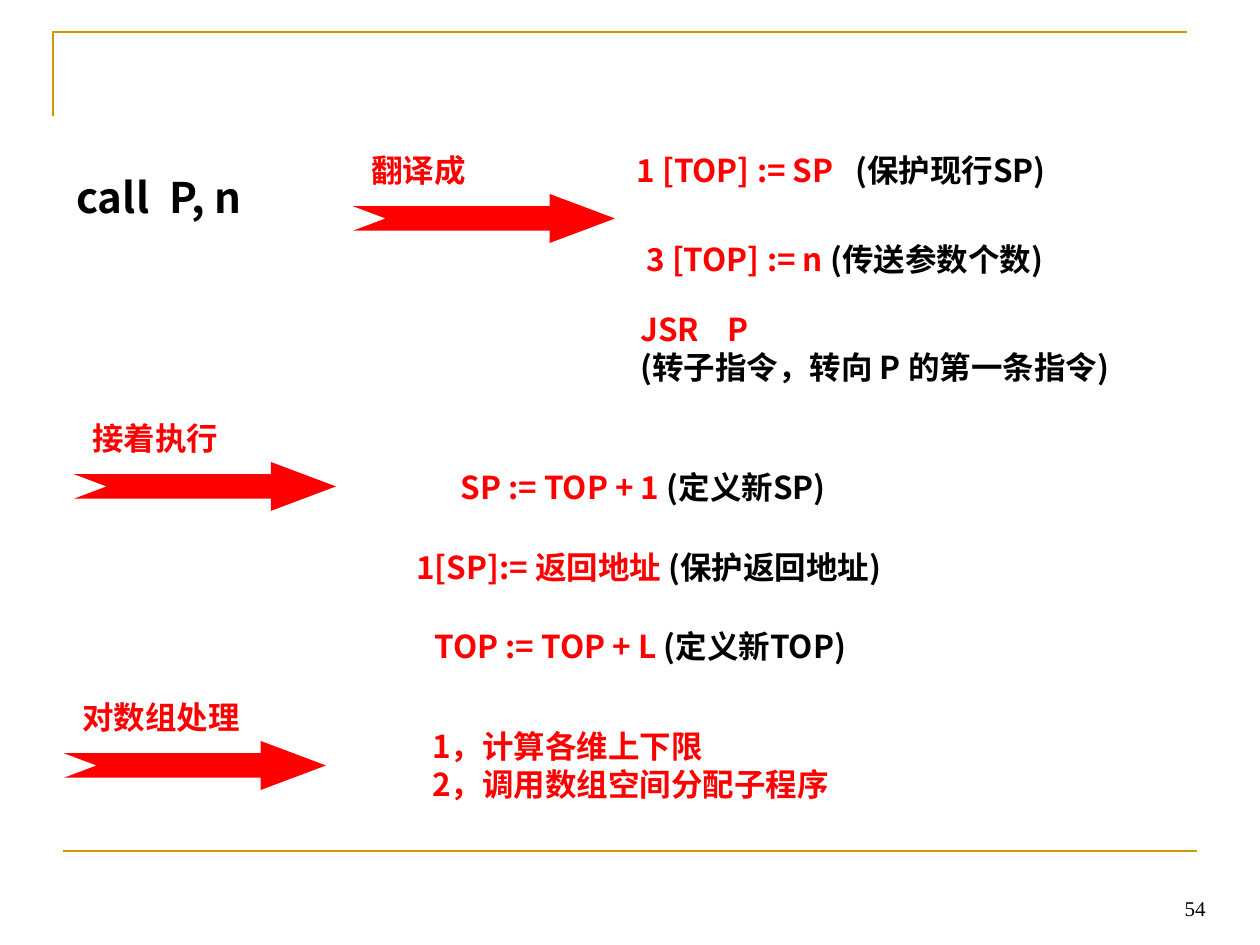
import pptx
import pptx.dml.color
import pptx.enum.shapes
import pptx.enum.text
import pptx.oxml.ns
import pptx.util
from lxml import etree

EMU_PER_PX = 914400 / 126
RED = pptx.dml.color.RGBColor(0xFF, 0x00, 0x00)
BLACK = pptx.dml.color.RGBColor(0x00, 0x00, 0x00)
GOLD = pptx.dml.color.RGBColor(0xCC, 0x99, 0x00)
BODY_FONT = "Noto Sans CJK SC"
NUMBER_FONT = "Times New Roman"


def px(length):
    return pptx.util.Emu(round(length * EMU_PER_PX))


def add_child(parent, tag, **attributes):
    return etree.SubElement(parent, pptx.oxml.ns.qn(tag), attributes)


def add_run(paragraph, words, color, size, font, bold):
    run = paragraph.add_run()
    run.text = words
    run.font.size = pptx.util.Pt(size)
    run.font.bold = bold
    run.font.name = font
    run.font.color.rgb = color
    add_child(run.font._element, "a:ea", typeface=font)


def add_text(slide, left, top, width, height, lines, size=18, font=BODY_FONT,
             bold=True, tab=None, align=pptx.enum.text.PP_ALIGN.LEFT,
             anchor=pptx.enum.text.MSO_ANCHOR.TOP):
    frame = slide.shapes.add_textbox(px(left), px(top), px(width), px(height)).text_frame
    frame.word_wrap = True
    frame.vertical_anchor = anchor
    for index, runs in enumerate(lines):
        paragraph = frame.add_paragraph() if index else frame.paragraphs[0]
        paragraph.alignment = align
        if tab and any("\t" in words for words, _ in runs):
            stops = add_child(paragraph._p.get_or_add_pPr(), "a:tabLst")
            add_child(stops, "a:tab", pos=str(px(tab)), algn="l")
        for words, color in runs:
            add_run(paragraph, words, color, size, font, bold)


def add_labelled_arrow(slide, left, top, label):
    add_text(slide, left + 6, top - 49, 262, 50, [[(label, RED)]])
    arrow = slide.shapes.add_shape(
        pptx.enum.shapes.MSO_SHAPE.NOTCHED_RIGHT_ARROW,
        px(left), px(top), px(262), px(49))
    arrow.adjustments[0] = 0.5
    arrow.adjustments[1] = 1.33
    arrow.shadow.inherit = False
    arrow.fill.solid()
    arrow.fill.fore_color.rgb = RED
    arrow.line.fill.background()


def style_rule(rule):
    rule.line.color.rgb = GOLD
    rule.line.width = pptx.util.Pt(1.5)


def add_frame_rules(slide):
    builder = slide.shapes.build_freeform(53, 116, scale=EMU_PER_PX)
    builder.add_line_segments([(53, 32), (1187, 32)], close=False)
    corner = builder.convert_to_shape()
    corner.shadow.inherit = False
    corner.fill.background()
    style_rule(corner)

    footer_rule = slide.shapes.add_connector(
        pptx.enum.shapes.MSO_CONNECTOR.STRAIGHT, px(63), px(851), px(1197), px(851))
    add_child(footer_rule._element.spPr, "a:effectLst")
    style_rule(footer_rule)


def main():
    deck = pptx.Presentation()
    deck.slide_width, deck.slide_height = px(1260), px(945)
    slide = deck.slides.add_slide(deck.slide_layouts[6])

    add_frame_rules(slide)
    add_text(slide, 903, 861, 315, 66, [[("54", BLACK)]], size=12, font=NUMBER_FONT,
             bold=False, align=pptx.enum.text.PP_ALIGN.RIGHT,
             anchor=pptx.enum.text.MSO_ANCHOR.BOTTOM)
    add_text(slide, 64, 165, 277, 63, [[("call\tP, n", BLACK)]], size=24, tab=93)

    for left, top, label in [(353, 194, "翻译成"), (74, 462, "接着执行"),
                             (64, 741, "对数组处理")]:
        add_labelled_arrow(slide, left, top, label)

    instructions = [
        (624, 145, 546, [[("1 [TOP] := SP", RED), ("\t(保护现行SP)", BLACK)]], 219),
        (634, 234, 514, [[("3 [TOP] := n", RED), (" (传送参数个数)", BLACK)]], None),
        (628, 304, 556, [[("JSR\tP", RED)],
                         [("(转子指令，转向 P 的第一条指令)", BLACK)]], 87),
        (448, 462, 476, [[("SP := TOP + 1 ", RED), ("(定义新SP)", BLACK)]], None),
        (404, 542, 576, [[("1[SP]:= 返回地址 ", RED), ("(保护返回地址)", BLACK)]], None),
        (422, 621, 514, [[("TOP := TOP + L ", RED), ("(定义新TOP)", BLACK)]], None),
        (420, 721, 430, [[("1，计算各维上下限", RED)],
                         [("2，调用数组空间分配子程序", RED)]], None),
    ]
    for left, top, width, lines, tab in instructions:
        add_text(slide, left, top, width, 12 + 38 * len(lines), lines, tab=tab)

    deck.save("out.pptx")


if __name__ == "__main__":
    main()
